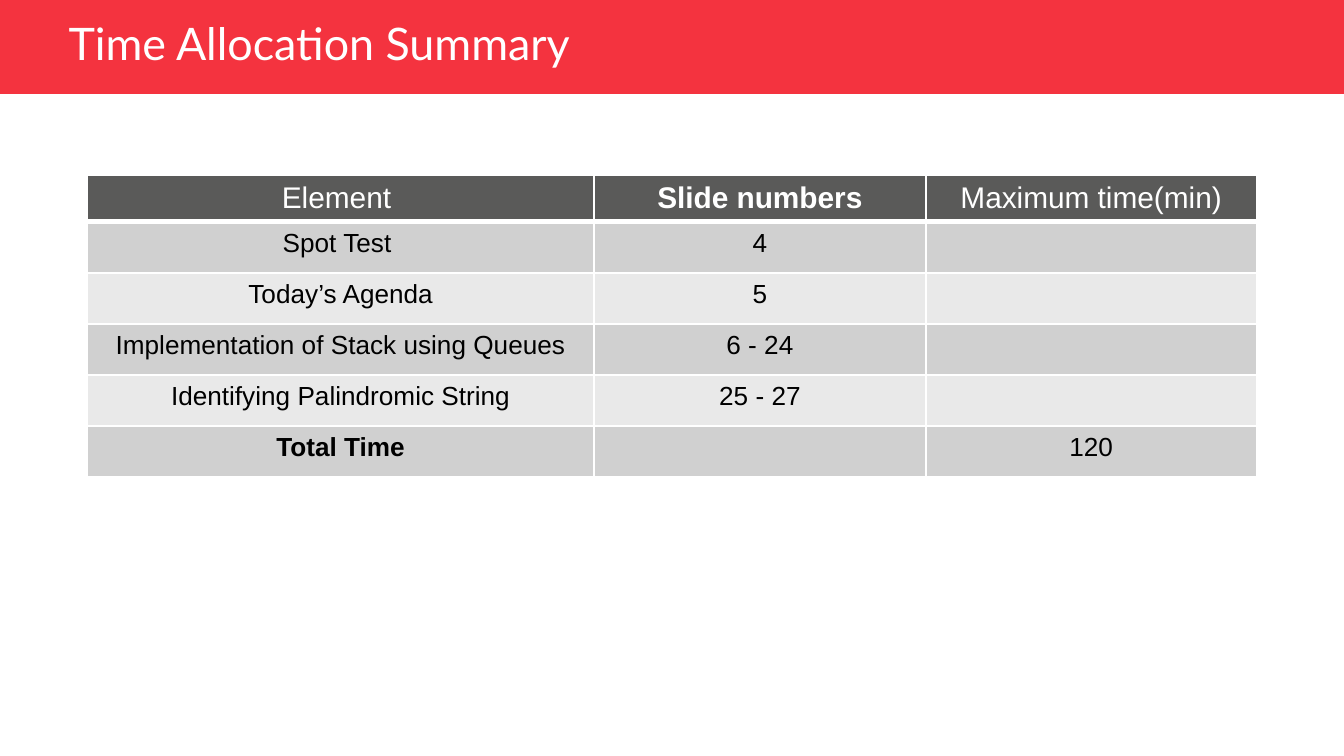
from dataclasses import dataclass

from lxml import etree
from pptx import Presentation
from pptx import util as u
from pptx.dml.color import RGBColor
from pptx.enum import shapes, text
from pptx.oxml import ns

RED, WHITE, BLACK = "F4333F", "FFFFFF", "000000"
HEADER_FILL, ODD_FILL, EVEN_FILL = "5A5A59", "D0D0D0", "E9E9E9"
SLIDE_WIDTH = 10
SLIDE_HEIGHT = SLIDE_WIDTH * 9 / 16
COL_WIDTHS = (3.77, 2.47, 2.46)
HEADER_HEIGHT, ROW_HEIGHT = 0.35, 0.38


@dataclass
class Row:
    values: tuple[str, str, str]
    bold: tuple[bool, bool, bool] = (False, False, False)


ROWS = [
    Row(("Element ", "Slide numbers", "Maximum time(min)"), (False, True, False)),
    Row(("Spot Test ", "4", "")),
    Row(("Today’s Agenda", "5", "")),
    Row(("Implementation of Stack using Queues", "6 - 24", "")),
    Row(("Identifying Palindromic String", "25 - 27", "")),
    Row(("Total Time", "", "120"), (True, False, False)),
]


def rgb(color: str) -> RGBColor:
    return RGBColor.from_string(color)


def write(tf, content: str, *, size: float, color: str, font: str = "Arial",
          bold: bool = False, align=text.PP_ALIGN.CENTER, before: float = 0) -> None:
    p = tf.paragraphs[0]
    p.alignment = align
    p.space_before = u.Pt(before)
    if not content:
        etree.SubElement(p._p, ns.qn("a:endParaRPr"), sz=str(int(size * 100)))
        return
    r = p.add_run()
    r.text = content
    r.font.name = font
    r.font.size = u.Pt(size)
    r.font.bold = bold
    r.font.color.rgb = rgb(color)


def set_borders(cell, top: float, bottom: float) -> None:
    tcPr = cell._tc.get_or_add_tcPr()
    widths = {"lnL": 1, "lnR": 1, "lnT": top, "lnB": bottom}
    for i, (side, width) in enumerate(widths.items()):
        ln = etree.Element(ns.qn(f"a:{side}"), w=str(u.Pt(width)))
        fill = etree.SubElement(ln, ns.qn("a:solidFill"))
        etree.SubElement(fill, ns.qn("a:srgbClr"), val=WHITE)
        tcPr.insert(i, ln)


def add_banner(s) -> None:
    sp = s.shapes.add_shape(shapes.MSO_SHAPE.RECTANGLE, 0, 0,
                            u.Inches(SLIDE_WIDTH), u.Inches(0.7))
    sp.shadow.inherit = False
    sp.fill.solid()
    sp.fill.fore_color.rgb = rgb(RED)
    sp.line.fill.background()
    s.shapes._spTree.insert(2, sp._element)


def add_title(s, content: str) -> None:
    sp = s.shapes.title
    sp.left, sp.top = u.Inches(0.41), u.Inches(-0.11)
    sp.width, sp.height = u.Inches(6.68), u.Inches(0.86)
    tf = sp.text_frame
    tf.word_wrap = True
    tf.auto_size = text.MSO_AUTO_SIZE.NONE
    tf.vertical_anchor = text.MSO_ANCHOR.MIDDLE
    write(tf, content, size=24, color=WHITE, font="Lato",
          align=text.PP_ALIGN.LEFT, before=10)


def add_schedule(s, rows: list[Row]) -> None:
    height = HEADER_HEIGHT + ROW_HEIGHT * (len(rows) - 1)
    table = s.shapes.add_table(len(rows), len(COL_WIDTHS), u.Inches(0.65), u.Inches(1.3),
                               u.Inches(sum(COL_WIDTHS)), u.Inches(height)).table
    for col, width in zip(table.columns, COL_WIDTHS):
        col.width = u.Inches(width)
    for i, row in enumerate(rows):
        header = i == 0
        table.rows[i].height = u.Inches(HEADER_HEIGHT if header else ROW_HEIGHT)
        fill = HEADER_FILL if header else ODD_FILL if i % 2 else EVEN_FILL
        for j, (value, bold) in enumerate(zip(row.values, row.bold)):
            cell = table.cell(i, j)
            cell.fill.solid()
            cell.fill.fore_color.rgb = rgb(fill)
            set_borders(cell, top=3 if i == 1 else 1, bottom=3 if header else 1)
            write(cell.text_frame, value, size=16 if header else 14,
                  color=WHITE if header else BLACK, bold=bold)


def main() -> None:
    prs = Presentation()
    prs.slide_width, prs.slide_height = u.Inches(SLIDE_WIDTH), u.Inches(SLIDE_HEIGHT)
    s = prs.slides.add_slide(prs.slide_layouts[5])
    add_banner(s)
    add_title(s, "Time Allocation Summary")
    add_schedule(s, ROWS)
    prs.save("out.pptx")


if __name__ == "__main__":
    main()
